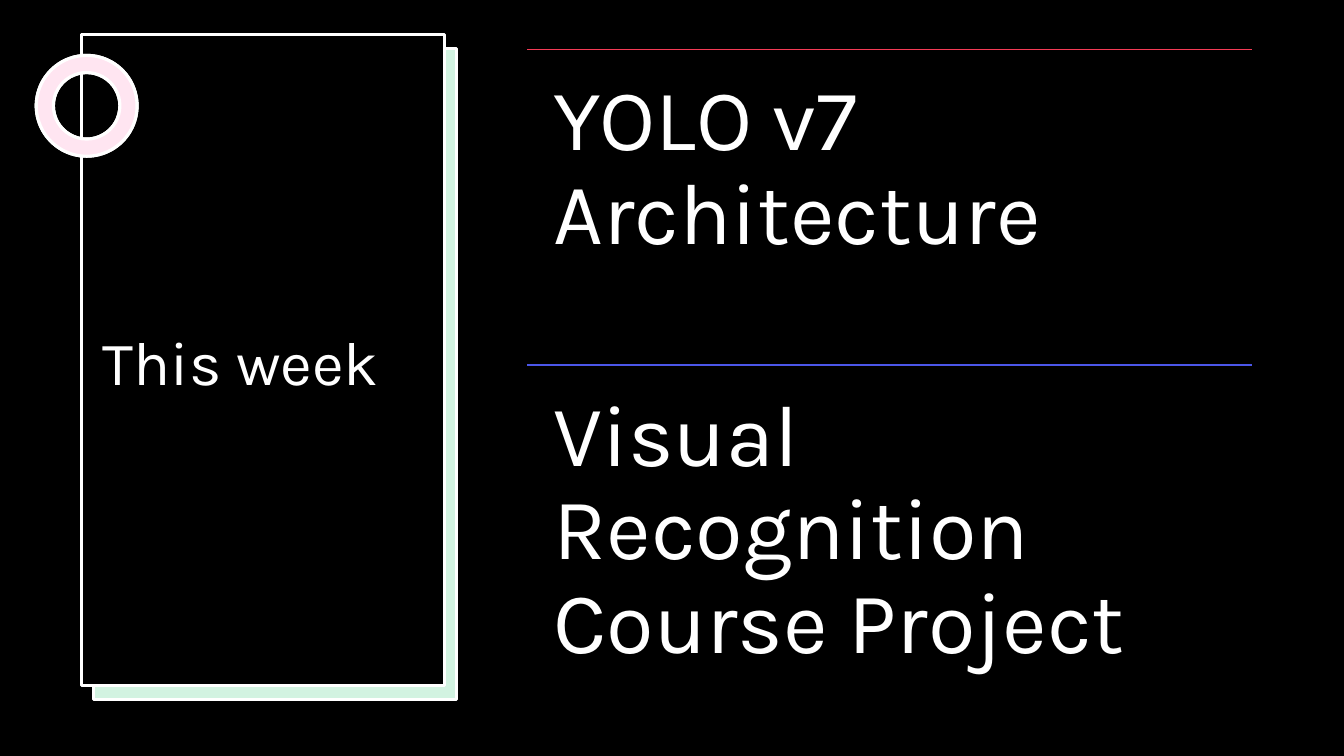
from dataclasses import dataclass

from lxml import etree
from pptx import Presentation
from pptx import util as u
from pptx.dml.color import RGBColor
from pptx.enum import shapes, text
from pptx.oxml.ns import qn


@dataclass(frozen=True)
class Theme:
    font: str = "Karla"
    black: str = "000000"
    white: str = "FFFFFF"
    green: str = "21C46B"
    pink: str = "FF80BD"
    red: str = "F43B56"
    blue: str = "4B56E8"
    title_size: int = 44
    topic_size: int = 62
    outline: float = 2.25
    rule: float = 1
    tint: int = 20


THEME = Theme()


def apply(target, **values):
    for name, value in values.items():
        setattr(target, name, value)


def inches(*lengths):
    return [u.Inches(length) for length in lengths]


def add_panel(page, kind, box, fill, outlined=True, opacity=100):
    panel = page.shapes.add_shape(kind, *inches(*box))
    panel.shadow.inherit = False
    panel.fill.solid()
    panel.fill.fore_color.rgb = RGBColor.from_string(fill)
    if opacity < 100:
        color = panel.fill._xPr.find(qn("a:solidFill"))[0]
        etree.SubElement(color, qn("a:alpha"), val=str(opacity * 1000))
    if outlined:
        panel.line.color.rgb = RGBColor.from_string(THEME.white)
        panel.line.width = u.Pt(THEME.outline)
    else:
        panel.line.fill.background()
    return panel


def write(frame, words, size, anchor, inset=None):
    apply(frame, word_wrap=True, auto_size=text.MSO_AUTO_SIZE.NONE, vertical_anchor=anchor)
    if inset is not None:
        margin = u.Inches(inset)
        apply(frame, margin_left=margin, margin_right=margin,
              margin_top=margin, margin_bottom=margin)
    para = frame.paragraphs[0]
    apply(para, alignment=text.PP_ALIGN.LEFT, line_spacing=0.9)
    span = para.add_run()
    span.text = words
    apply(span.font, name=THEME.font, size=u.Pt(size))
    span.font.color.rgb = RGBColor.from_string(THEME.white)


def add_title_card(page, box, words):
    left, top, width, height = box
    rectangle = shapes.MSO_SHAPE.RECTANGLE
    shade = (left + 0.12, top + 0.14, width, height)
    add_panel(page, rectangle, shade, THEME.white, outlined=False)
    add_panel(page, rectangle, shade, THEME.green, opacity=THEME.tint)
    add_panel(page, rectangle, box, THEME.black)

    for fill, opacity in ((THEME.white, 100), (THEME.pink, THEME.tint)):
        ring = add_panel(page, shapes.MSO_SHAPE.DONUT,
                         (left - 0.45, top + 0.21, 1, 1), fill, opacity=opacity)
        ring.adjustments[0] = 0.17

    title = page.shapes.title
    place = inches(left + 0.11, top + 0.97, 3.4, 4.63)
    apply(title, **dict(zip(("left", "top", "width", "height"), place)))
    write(title.text_frame, words, THEME.title_size, text.MSO_ANCHOR.MIDDLE)
    title.element.getparent().append(title.element)


def add_topics(page, box, topics):
    left, top, width, height = box
    row = height / len(topics)
    group = page.shapes.add_group_shape()
    for index, (words, color) in enumerate(topics):
        y = top + index * row
        rule = group.shapes.add_connector(
            shapes.MSO_CONNECTOR.STRAIGHT, *inches(left, y, left + width, y))
        rule.line.color.rgb = RGBColor.from_string(color)
        rule.line.width = u.Pt(THEME.rule)
        etree.SubElement(rule.element.spPr, qn("a:effectLst"))
        topic = group.shapes.add_textbox(*inches(left, y, width, row))
        write(topic.text_frame, words, THEME.topic_size, text.MSO_ANCHOR.TOP, inset=0.26)


def main():
    deck = Presentation()
    apply(deck, slide_width=u.Inches(13.33), slide_height=u.Inches(7.5))
    page = deck.slides.add_slide(deck.slide_layouts.get_by_name("Title Only"))
    page.background.fill.solid()
    page.background.fill.fore_color.rgb = RGBColor.from_string(THEME.black)
    add_panel(page, shapes.MSO_SHAPE.RECTANGLE, (0, 0, 13.33, 7.5), THEME.black, outlined=False)
    add_title_card(page, (0.81, 0.34, 3.6, 6.46), "This week")
    add_topics(page, (5.23, 0.49, 7.19, 6.26), [
        ("YOLO v7 Architecture", THEME.red),
        ("Visual Recognition Course Project", THEME.blue),
    ])
    deck.save("out.pptx")


if __name__ == "__main__":
    main()
